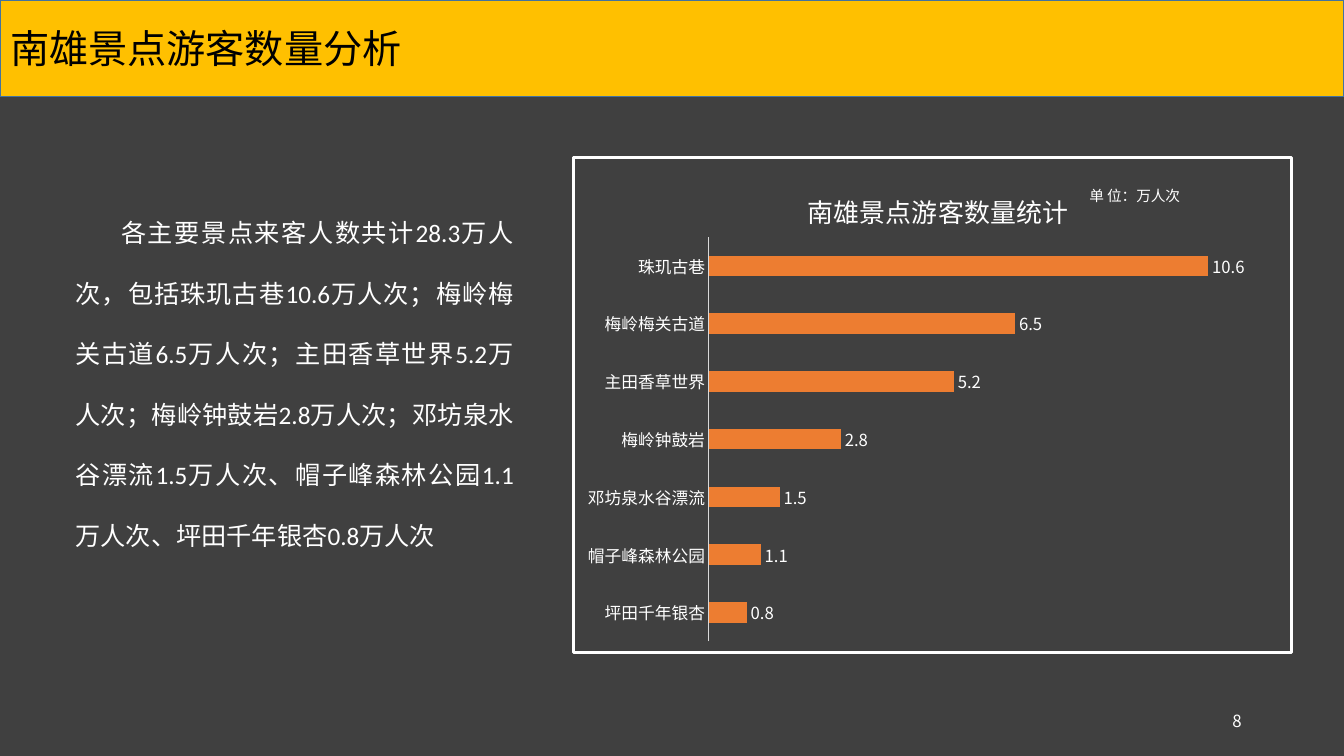
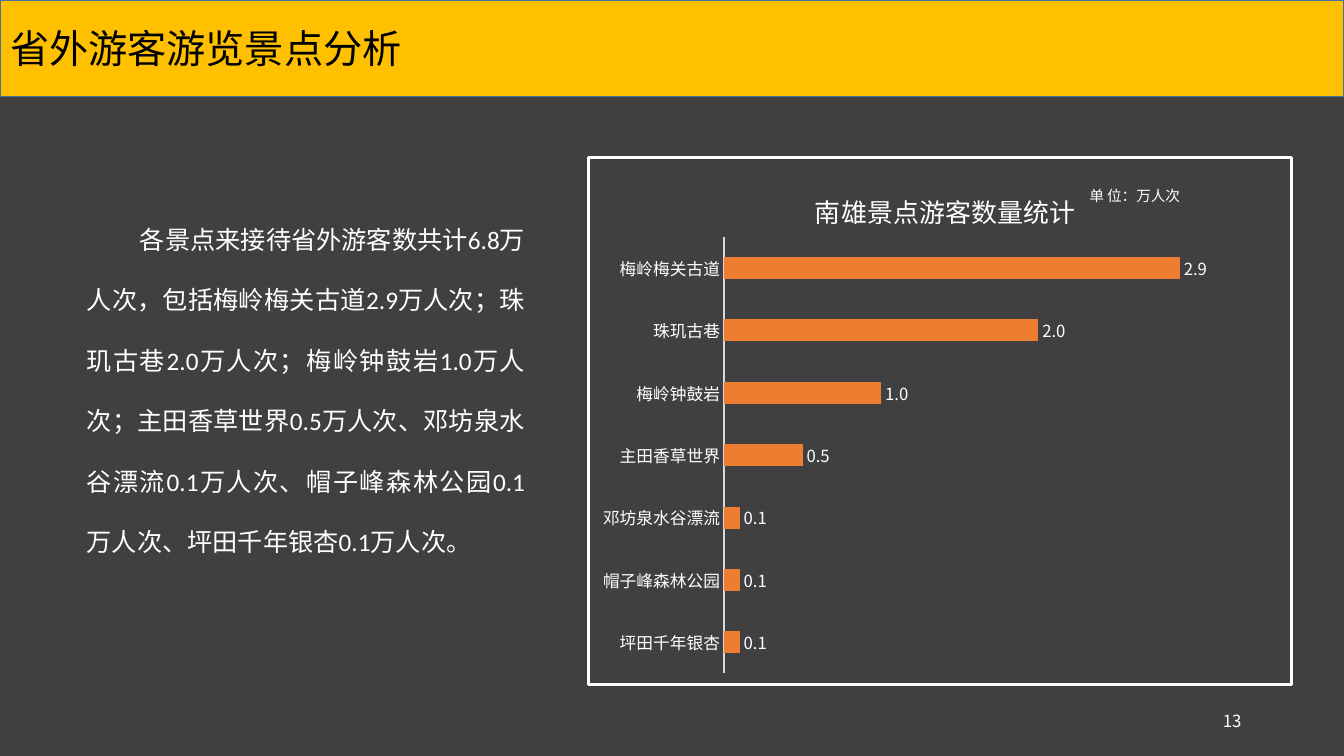
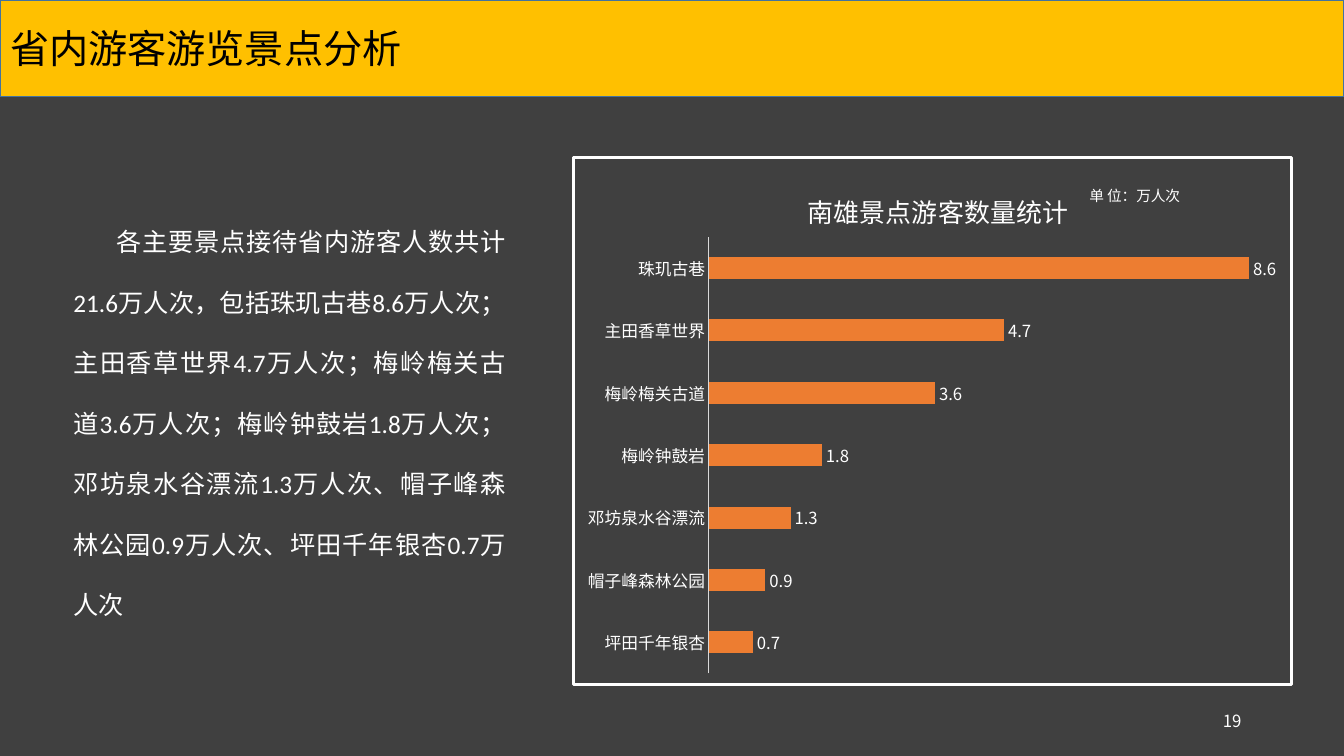
from dataclasses import dataclass

from lxml import etree
from pptx import Presentation
from pptx.chart.data import CategoryChartData
from pptx.dml.color import RGBColor
from pptx.enum.chart import XL_CHART_TYPE, XL_LABEL_POSITION, XL_TICK_MARK
from pptx.enum.text import MSO_ANCHOR, MSO_AUTO_SIZE, PP_ALIGN
from pptx.oxml import parse_xml
from pptx.oxml.ns import nsdecls, qn
from pptx.util import Pt

BACKGROUND = RGBColor(0x40, 0x40, 0x40)
BAND_FILL = RGBColor(0xFF, 0xC0, 0x00)
BAND_LINE = RGBColor(0x43, 0x73, 0x9E)
BLACK = RGBColor(0x00, 0x00, 0x00)
WHITE = RGBColor(0xFF, 0xFF, 0xFF)
BAR_FILL = RGBColor(0xED, 0x7D, 0x31)
AXIS_LINE = RGBColor(0xD9, 0xD9, 0xD9)

CJK_FONT = "Noto Sans CJK SC"
LATIN_FONT = "Calibri"

BAR_CLUSTERED = XL_CHART_TYPE.BAR_CLUSTERED
OUTSIDE_END = XL_LABEL_POSITION.OUTSIDE_END
NO_TICK = XL_TICK_MARK.NONE
MIDDLE = MSO_ANCHOR.MIDDLE
TOP = MSO_ANCHOR.TOP
GROW = MSO_AUTO_SIZE.SHAPE_TO_FIT_TEXT
NO_AUTOFIT = MSO_AUTO_SIZE.NONE
LEFT = PP_ALIGN.LEFT
RIGHT = PP_ALIGN.RIGHT
JUSTIFY = PP_ALIGN.JUSTIFY

SLIDE_WIDTH, SLIDE_HEIGHT = 960, 540
TITLE_BOX = (0, 0, SLIDE_WIDTH, 69)
NUMBER_BOX = (678, 500.5, 216, 28.75)
UNIT_OFFSET = (189, 18.5)
UNIT_SIZE = (83.5, 20)
CHART_RIGHT, CHART_TOP = 923.75, 111.5
PLOT_LEFT, PLOT_TOP, PLOT_RIGHT, PLOT_BOTTOM = 97.5, 57, 12.5, 8
CHART_TITLE = "南雄景点游客数量统计"
CHART_TITLE_SIZE = 18.6
CHART_TITLE_TOP = 19


@dataclass
class AttractionPage:
    number: int
    title: str
    summary: str
    summary_box: tuple
    indent: float
    chart_size: tuple
    axis_maximum: float
    visitors: dict


PAGES = [
    AttractionPage(
        8, "南雄景点游客数量分析",
        "各主要景点来客人数共计28.3万人次，包括珠玑古巷10.6万人次；"
        "梅岭梅关古道6.5万人次；主田香草世界5.2万人次；梅岭钟鼓岩2.8万人次；"
        "邓坊泉水谷漂流1.5万人次、帽子峰森林公园1.1万人次、坪田千年银杏0.8万人次",
        (46.75, 130.25, 327.5, 269.25), 32.5, (515.5, 355.75), 12,
        {"坪田千年银杏": 0.8, "帽子峰森林公园": 1.1, "邓坊泉水谷漂流": 1.5,
         "梅岭钟鼓岩": 2.8, "主田香草世界": 5.2, "梅岭梅关古道": 6.5,
         "珠玑古巷": 10.6}),
    AttractionPage(
        13, "省外游客游览景点分析",
        "各景点来接待省外游客数共计6.8万人次，包括梅岭梅关古道2.9万人次；"
        "珠玑古巷2.0万人次；梅岭钟鼓岩1.0万人次；主田香草世界0.5万人次、"
        "邓坊泉水谷漂流0.1万人次、帽子峰森林公园0.1万人次、坪田千年银杏0.1万人次。",
        (54.75, 134.75, 327.5, 269.25), 38, (504.75, 378.75), 3.5,
        {"坪田千年银杏": 0.1, "帽子峰森林公园": 0.1, "邓坊泉水谷漂流": 0.1,
         "主田香草世界": 0.5, "梅岭钟鼓岩": 1.0, "珠玑古巷": 2.0,
         "梅岭梅关古道": 2.9}),
    AttractionPage(
        19, "省内游客游览景点分析",
        "各主要景点接待省内游客人数共计21.6万人次，包括珠玑古巷8.6万人次；"
        "主田香草世界4.7万人次；梅岭梅关古道3.6万人次；梅岭钟鼓岩1.8万人次；"
        "邓坊泉水谷漂流1.3万人次、帽子峰森林公园0.9万人次、坪田千年银杏0.7万人次",
        (45.25, 136.75, 323.25, 312.5), 31, (515.5, 378.75), 9,
        {"坪田千年银杏": 0.7, "帽子峰森林公园": 0.9, "邓坊泉水谷漂流": 1.3,
         "梅岭钟鼓岩": 1.8, "梅岭梅关古道": 3.6, "主田香草世界": 4.7,
         "珠玑古巷": 8.6}),
]


def format_font(font, size, color, latin=CJK_FONT):
    font.size = Pt(size)
    font.bold = False
    font.color.rgb = color
    font.name = latin
    east_asian = etree.SubElement(font._rPr, qn("a:ea"))
    east_asian.set("typeface", CJK_FONT)


def place(shape, box):
    shape.left, shape.top, shape.width, shape.height = map(Pt, box)


def write_text(shape, text, size, color, alignment, anchor, auto_size, latin=CJK_FONT):
    text_frame = shape.text_frame
    text_frame.text = text
    text_frame.word_wrap = True
    text_frame.vertical_anchor = anchor
    text_frame.auto_size = auto_size
    paragraph = text_frame.paragraphs[0]
    paragraph.alignment = alignment
    format_font(paragraph.runs[0].font, size, color, latin)
    return paragraph


def add_label(slide, box, text, size, alignment, anchor, auto_size):
    label = slide.shapes.add_textbox(*map(Pt, box))
    write_text(label, text, size, WHITE, alignment, anchor, auto_size)


def fill_title(slide, text, box):
    title = slide.shapes.title
    place(title, box)
    title.fill.solid()
    title.fill.fore_color.rgb = BAND_FILL
    title.line.color.rgb = BAND_LINE
    title.line.width = Pt(1)
    write_text(title, text, 28, BLACK, LEFT, MIDDLE, NO_AUTOFIT)


def fill_summary(slide, text, box, indent):
    body = slide.placeholders[1]
    place(body, box)
    paragraph = write_text(body, text, 18, WHITE, JUSTIFY, TOP, GROW, LATIN_FONT)
    paragraph.line_spacing = 2.0
    paragraph.space_before = Pt(0)
    properties = paragraph._p.get_or_add_pPr()
    properties.set("marL", "0")
    properties.set("indent", str(Pt(indent)))
    etree.SubElement(properties, qn("a:buNone"))


def set_layout(element, **settings):
    existing = element.find(qn("c:layout"))
    if existing is not None:
        element.remove(existing)
    values = "".join(f'<c:{name} val="{value}"/>' for name, value in settings.items())
    layout = parse_xml(
        f'<c:layout {nsdecls("c")}><c:manualLayout>{values}</c:manualLayout></c:layout>')
    text = element.find(qn("c:tx"))
    if text is None:
        element.insert(0, layout)
    else:
        text.addnext(layout)


def add_border(chart):
    border = parse_xml(
        f'<c:spPr {nsdecls("c", "a")}><a:noFill/><a:ln w="{Pt(2.25)}"><a:solidFill>'
        f'<a:srgbClr val="{WHITE}"/></a:solidFill></a:ln></c:spPr>')
    chart._chartSpace.find(qn("c:chart")).addnext(border)


def format_axes(chart, maximum):
    category_axis = chart.category_axis
    category_axis.major_tick_mark = NO_TICK
    category_axis.minor_tick_mark = NO_TICK
    category_axis.has_major_gridlines = False
    category_axis.format.line.color.rgb = AXIS_LINE
    category_axis.format.line.width = Pt(0.75)
    format_font(category_axis.tick_labels.font, 12, WHITE)
    value_axis = chart.value_axis
    value_axis.minimum_scale = 0
    value_axis.maximum_scale = maximum
    value_axis.has_major_gridlines = False
    value_axis.visible = False


def format_bars(plot):
    plot.gap_width = 182
    plot.vary_by_categories = False
    bars = plot.series[0].format.fill
    bars.solid()
    bars.fore_color.rgb = BAR_FILL
    plot.has_data_labels = True
    labels = plot.data_labels
    labels.show_value = True
    labels.number_format = "0.0"
    labels.number_format_is_linked = False
    labels.position = OUTSIDE_END
    format_font(labels.font, 12, WHITE)


def add_visitor_chart(slide, box, visitors, maximum):
    left, top, width, height = box
    data = CategoryChartData(number_format="0.0")
    data.categories = list(visitors)
    data.add_series("Series 1", list(visitors.values()))
    chart = slide.shapes.add_chart(BAR_CLUSTERED, *map(Pt, box), data).chart
    format_font(chart.font, 10, WHITE)
    chart.has_legend = False
    chart.has_title = True
    title = chart.chart_title
    title.include_in_layout = False
    title.text_frame.text = CHART_TITLE
    format_font(title.text_frame.paragraphs[0].runs[0].font, CHART_TITLE_SIZE, WHITE)
    title_width = CHART_TITLE_SIZE * len(CHART_TITLE)
    set_layout(title._element, xMode="edge", yMode="edge",
               x=(width - title_width) / 2 / width, y=CHART_TITLE_TOP / height)
    set_layout(chart._chartSpace.find(qn("c:chart")).find(qn("c:plotArea")),
               layoutTarget="inner", xMode="edge", yMode="edge",
               x=PLOT_LEFT / width, y=PLOT_TOP / height,
               w=1 - (PLOT_LEFT + PLOT_RIGHT) / width,
               h=1 - (PLOT_TOP + PLOT_BOTTOM) / height)
    format_axes(chart, maximum)
    format_bars(chart.plots[0])
    add_border(chart)
    unit_box = (left + width - UNIT_OFFSET[0] + 36.25, top + UNIT_OFFSET[1], *UNIT_SIZE)
    add_label(slide, unit_box, "单 位：万人次", 10.5, LEFT, TOP, GROW)


def build_page(presentation, page):
    slide = presentation.slides.add_slide(presentation.slide_layouts[1])
    fill_title(slide, page.title, TITLE_BOX)
    fill_summary(slide, page.summary, page.summary_box, page.indent)
    add_label(slide, NUMBER_BOX, str(page.number), 12, RIGHT, MIDDLE, NO_AUTOFIT)
    width, height = page.chart_size
    chart_box = (CHART_RIGHT - width, CHART_TOP, width, height)
    add_visitor_chart(slide, chart_box, page.visitors, page.axis_maximum)


def main():
    presentation = Presentation()
    presentation.slide_width = Pt(SLIDE_WIDTH)
    presentation.slide_height = Pt(SLIDE_HEIGHT)
    background = presentation.slide_master.background.fill
    background.solid()
    background.fore_color.rgb = BACKGROUND
    for page in PAGES:
        build_page(presentation, page)
    presentation.save("out.pptx")


if __name__ == "__main__":
    main()
